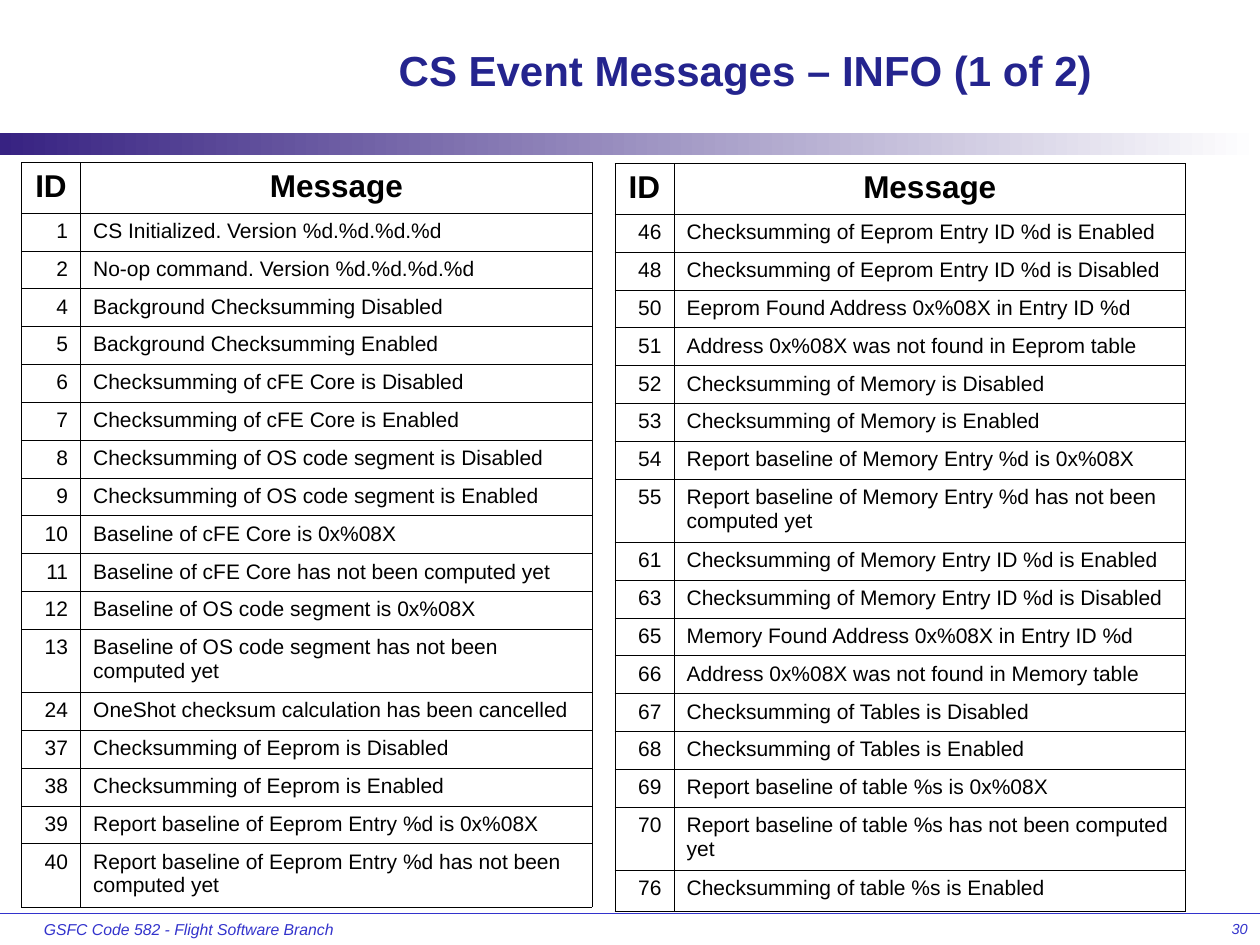
"""Build the slide listing the CS informational event messages in two tables."""
from lxml.etree import SubElement
from pptx import Presentation
from pptx.dml.color import RGBColor
from pptx.enum.shapes import MSO_CONNECTOR, MSO_SHAPE
from pptx.enum.text import MSO_ANCHOR, PP_ALIGN
from pptx.oxml import parse_xml
from pptx.oxml.ns import nsdecls, qn
from pptx.util import Inches, Pt

COLORS = {"title": "24248E", "footer": "3333CC", "bar": "372282",
          "bar_end": "FFFFFF", "text": "000000", "border": "000000"}
LEFT, CENTER, RIGHT = PP_ALIGN.LEFT, PP_ALIGN.CENTER, PP_ALIGN.RIGHT

MESSAGES_LEFT = [
    (1, "CS Initialized. Version %d.%d.%d.%d"),
    (2, "No-op command. Version %d.%d.%d.%d"),
    (4, "Background Checksumming Disabled"),
    (5, "Background Checksumming Enabled"),
    (6, "Checksumming of cFE Core is Disabled"),
    (7, "Checksumming of cFE Core is Enabled"),
    (8, "Checksumming of OS code segment is Disabled"),
    (9, "Checksumming of OS code segment is Enabled"),
    (10, "Baseline of cFE Core is 0x%08X"),
    (11, "Baseline of cFE Core has not been computed yet"),
    (12, "Baseline of OS code segment is 0x%08X"),
    (13, "Baseline of OS code segment has not been computed yet"),
    (24, "OneShot checksum calculation has been cancelled"),
    (37, "Checksumming of Eeprom is Disabled"),
    (38, "Checksumming of Eeprom is Enabled"),
    (39, "Report baseline of Eeprom Entry %d is 0x%08X"),
    (40, "Report baseline of Eeprom Entry %d has not been computed yet"),
]
MESSAGES_RIGHT = [
    (46, "Checksumming of Eeprom Entry ID %d is Enabled"),
    (48, "Checksumming of Eeprom Entry ID %d is Disabled"),
    (50, "Eeprom Found Address 0x%08X in Entry ID %d"),
    (51, "Address 0x%08X was not found in Eeprom table"),
    (52, "Checksumming of Memory is Disabled"),
    (53, "Checksumming of Memory is Enabled"),
    (54, "Report baseline of Memory Entry %d is 0x%08X"),
    (55, "Report baseline of Memory Entry %d has not been computed yet"),
    (61, "Checksumming of Memory Entry ID %d is Enabled"),
    (63, "Checksumming of Memory Entry ID %d is Disabled"),
    (65, "Memory Found Address 0x%08X in Entry ID %d"),
    (66, "Address 0x%08X was not found in Memory table"),
    (67, "Checksumming of Tables is Disabled"),
    (68, "Checksumming of Tables is Enabled"),
    (69, "Report baseline of table %s is 0x%08X"),
    (70, "Report baseline of table %s has not been computed yet"),
    (76, "Checksumming of table %s is Enabled"),
]

prs = Presentation()
prs.slide_width, prs.slide_height = Inches(10), Inches(7.5)
COL, ROW = prs.slide_width / 100, prs.slide_height / 75
s = prs.slides.add_slide(prs.slide_layouts[5])


def box(x, y, w, h):
    return round(x * COL), round(y * ROW), round(w * COL), round(h * ROW)


def write(tf, text, size, color, align, bold=False, italic=False):
    p = tf.paragraphs[0]
    p.text, p.alignment = text, align
    f = p.font
    f.name, f.size, f.bold, f.italic = "Arial", Pt(size), bold, italic
    f.color.rgb = RGBColor.from_string(COLORS[color])


line = s.shapes.add_connector(MSO_CONNECTOR.STRAIGHT, 0, round(72.5 * ROW),
                              prs.slide_width, round(72.5 * ROW))
line.line.color.rgb = RGBColor.from_string(COLORS["footer"])
line.line.width = Pt(0.75)
SubElement(line._element.spPr, qn("a:effectLst"))

bar = s.shapes.add_shape(MSO_SHAPE.RECTANGLE, *box(0, 10.6, 100, 1.7))
bar.shadow.inherit = False
bar.line.fill.background()
bar.fill.gradient()
bar.fill.gradient_angle = 0
for stop, position, name in zip(bar.fill.gradient_stops, (0, 1), ("bar", "bar_end")):
    stop.position = position
    stop.color.rgb = RGBColor.from_string(COLORS[name])

for x, w, text, size, align in [
    (2.5, 25, "GSFC Code 582 - Flight Software Branch", 9, LEFT),
    (79.2, 20.8, "30", 8.3, RIGHT),
]:
    tf = s.shapes.add_textbox(*box(x, 72.5, w, 2.5)).text_frame
    tf.word_wrap = True
    write(tf, text, size, "footer", align, italic=True)

title = s.shapes.title
title.left, title.top, title.width, title.height = box(20.8, 1.7, 76.7, 7.6)
title.text_frame.vertical_anchor = MSO_ANCHOR.MIDDLE
write(title.text_frame, "CS Event Messages – INFO (1 of 2)", 24, "title", CENTER, bold=True)

for x, y, messages, last in [(1.7, 12.9, MESSAGES_LEFT, 5), (48.8, 13, MESSAGES_RIGHT, 3.3)]:
    heights = [4] + [5 if len(m) > 50 else 3 for _, m in messages[:-1]] + [last]
    frame = s.shapes.add_table(len(heights), 2, *box(x, y, 45.3, sum(heights)))
    table = frame.table
    table.first_row = table.horz_banding = False
    for column, width in zip(table.columns, (4.7, 40.6)):
        column.width = round(width * COL)
    for i, (values, height) in enumerate(zip([("ID", "Message")] + messages, heights)):
        table.rows[i].height = round(height * ROW)
        for cell, value, align in zip(table.rows[i].cells, values, (RIGHT, LEFT)):
            write(cell.text_frame, str(value), 12 if i else 18, "text",
                  align if i else CENTER, bold=i == 0)
            for side in ("lnL", "lnR", "lnT", "lnB"):
                cell._tc.get_or_add_tcPr().append(parse_xml(
                    f'<a:{side} {nsdecls("a")} w="{Pt(0.45)}"><a:solidFill>'
                    f'<a:srgbClr val="{COLORS["border"]}"/></a:solidFill></a:{side}>'))
            cell.fill.background()

prs.save("out.pptx")
